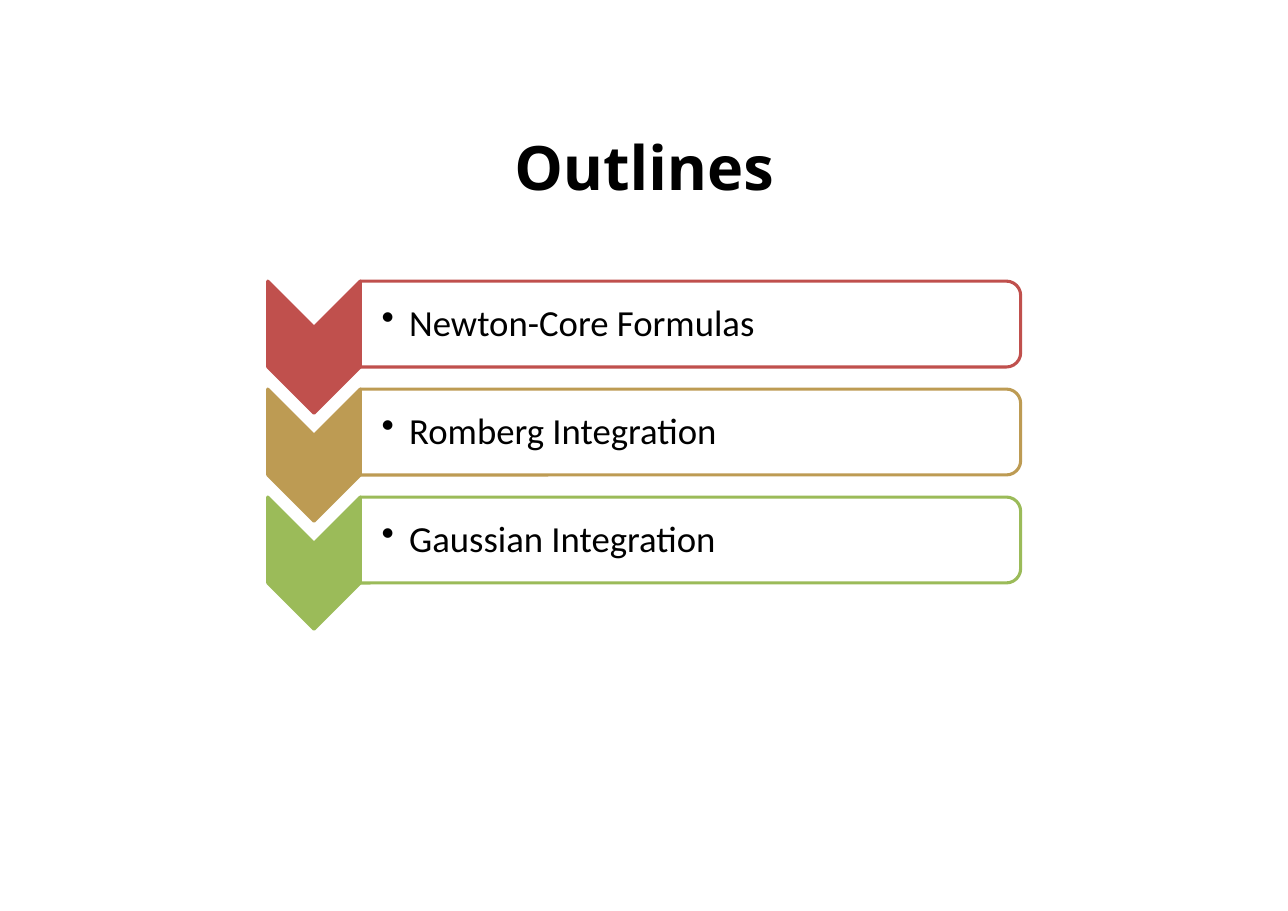
from pptx import Presentation
from pptx.dml.color import RGBColor
from pptx.enum.shapes import MSO_SHAPE
from pptx.enum.text import MSO_ANCHOR, MSO_AUTO_SIZE, PP_ALIGN
from pptx.oxml.xmlchemy import OxmlElement
from pptx.util import Pt

RED = RGBColor(0xC0, 0x50, 0x4D)
GOLD = RGBColor(0xBD, 0x9B, 0x53)
GREEN = RGBColor(0x9B, 0xBB, 0x59)
WHITE = RGBColor(0xFF, 0xFF, 0xFF)
BLACK = RGBColor(0, 0, 0)

TOPICS = [
    ("Newton-Core Formulas", RED),
    ("Romberg Integration", GOLD),
    ("Gaussian Integration", GREEN),
]
ROW_PITCH = 70.56
ROW_HEIGHT = 86.4
CHEVRON_WIDTH = 60.48
PANEL_HEIGHT = 56.16


def set_margins(frame, left, top, right, bottom):
    """Set the four insets of a text frame in points."""
    frame.margin_left, frame.margin_top = Pt(left), Pt(top)
    frame.margin_right, frame.margin_bottom = Pt(right), Pt(bottom)


def add_span(para, text, font, size, bold=False):
    """Append one black run to a paragraph."""
    span = para.add_run()
    span.text = text
    span.font.name = font
    span.font.size = Pt(size)
    span.font.bold = bold
    span.font.color.rgb = BLACK


def add_bullet(para, indent):
    """Give a paragraph a round bullet with a hanging indent in points."""
    properties = para._p.get_or_add_pPr()
    properties.set("marL", str(Pt(indent)))
    properties.set("indent", str(Pt(-indent)))
    bullet = OxmlElement("a:buChar")
    bullet.set("char", "•")
    properties.append(bullet)


def add_turned_shape(page, kind, left, top, width, height, fill, line):
    """Add a shape turned by 90 degrees that covers the given box."""
    shape = page.shapes.add_shape(
        kind,
        Pt(left + (width - height) / 2),
        Pt(top + (height - width) / 2),
        Pt(height),
        Pt(width),
    )
    shape.rotation = 90
    shape.shadow.inherit = False
    shape.fill.solid()
    shape.fill.fore_color.rgb = fill
    shape.line.color.rgb = line
    shape.line.width = Pt(2)


def add_title(page, left, top, width, height):
    """Place and format the slide title in the given box."""
    title = page.shapes.title
    title.left, title.top = Pt(left), Pt(top)
    title.width, title.height = Pt(width), Pt(height)
    frame = title.text_frame
    frame.auto_size = MSO_AUTO_SIZE.NONE
    frame.vertical_anchor = MSO_ANCHOR.MIDDLE
    set_margins(frame, 7.9, 4.3, 7.9, 4.3)
    para = frame.paragraphs[0]
    para.alignment = PP_ALIGN.CENTER
    add_span(para, "Outlines", "Open Sans", 40, bold=True)


def add_topic(page, left, top, width, topic, color):
    """Draw one chevron with its panel and bulleted topic."""
    panel_left = left + CHEVRON_WIDTH
    panel_width = width - CHEVRON_WIDTH
    add_turned_shape(page, MSO_SHAPE.CHEVRON, left, top,
                     CHEVRON_WIDTH, ROW_HEIGHT, color, color)
    add_turned_shape(page, MSO_SHAPE.ROUND_2_SAME_RECTANGLE, panel_left, top,
                     panel_width, PANEL_HEIGHT, WHITE, color)
    box = page.shapes.add_textbox(Pt(panel_left + 0.5), Pt(top + 2.7),
                                  Pt(panel_width - 3), Pt(PANEL_HEIGHT - 5))
    frame = box.text_frame
    frame.word_wrap = True
    frame.vertical_anchor = MSO_ANCHOR.MIDDLE
    set_margins(frame, 13.4, 1.2, 1.2, 1.2)
    para = frame.paragraphs[0]
    para.alignment = PP_ALIGN.LEFT
    para.line_spacing = 0.9
    add_bullet(para, 18)
    add_span(para, topic, "Calibri", 24)


def add_outline(page, left, top, width):
    """Stack the topics downwards from the given corner."""
    for row, (topic, color) in enumerate(TOPICS):
        add_topic(page, left, top + row * ROW_PITCH, width, topic, color)


def main():
    """Build and save the outline slide."""
    deck = Presentation()
    deck.slide_width, deck.slide_height = Pt(841.68), Pt(595.44)
    page = deck.slides.add_slide(deck.slide_layouts[5])
    add_title(page, 102.24, 59.04, 637.2, 99.36)
    add_outline(page, 175, 183.75, 492)
    deck.save("out.pptx")


if __name__ == "__main__":
    main()
